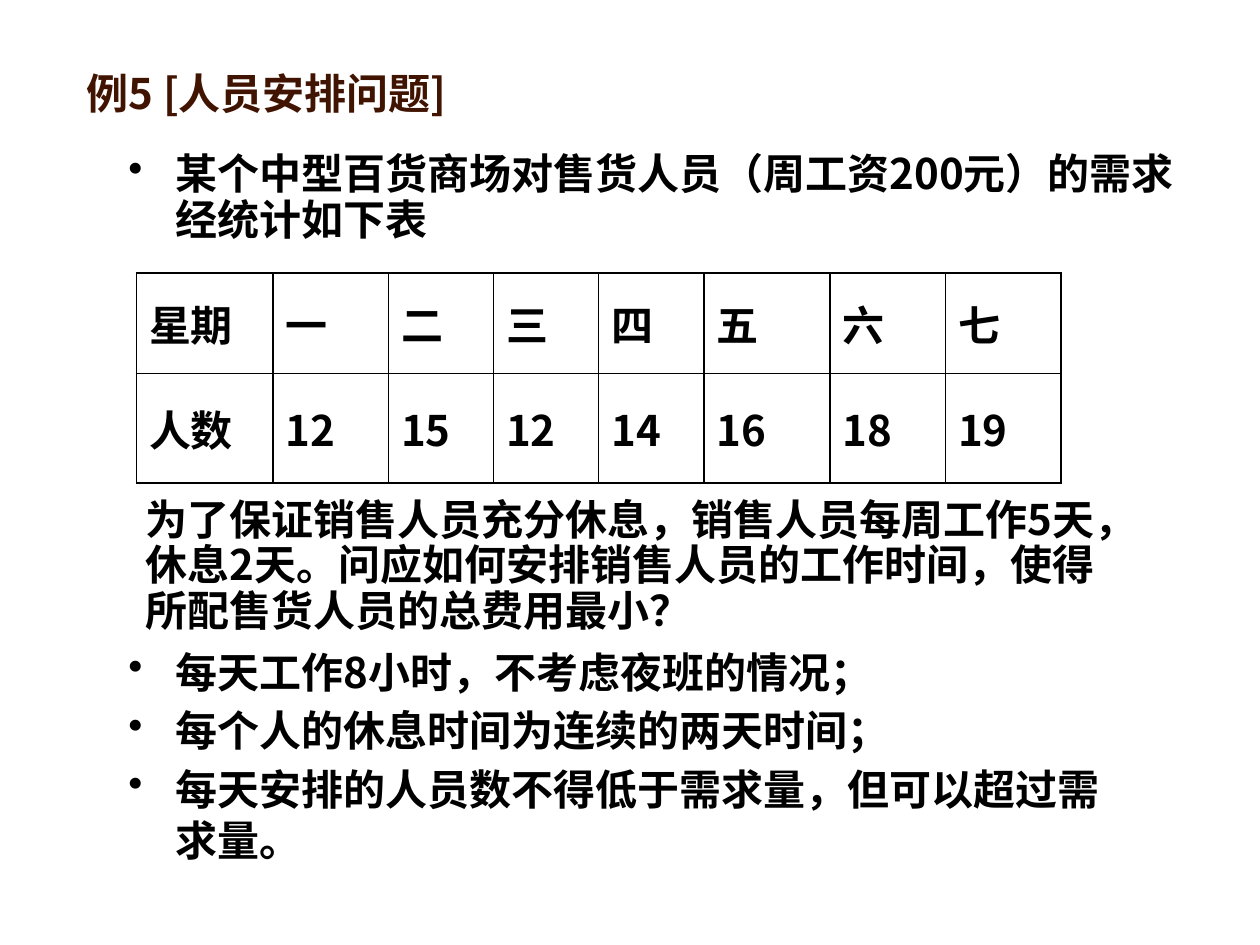
from dataclasses import dataclass

from lxml.etree import SubElement
from pptx import Presentation
from pptx.dml.color import RGBColor
from pptx.enum.text import MSO_ANCHOR, MSO_AUTO_SIZE
from pptx.oxml.ns import qn
from pptx.util import Cm, Pt

TITLE = "例5 [人员安排问题]"
INTRO = ["某个中型百货商场对售货人员（周工资200元）的需求经统计如下表"]
DEMAND = [
    ("星期", "一", "二", "三", "四", "五", "六", "七"),
    ("人数", "12", "15", "12", "14", "16", "18", "19"),
]
QUESTION = [
    "为了保证销售人员充分休息，销售人员每周工作5天，休息2天。"
    "问应如何安排销售人员的工作时间，使得所配售货人员的总费用最小？"
]
CONDITIONS = [
    "每天工作8小时，不考虑夜班的情况；",
    "每个人的休息时间为连续的两天时间；",
    "每天安排的人员数不得低于需求量，但可以超过需求量。",
]
COLUMN_WIDTHS = (2.75, 2.33, 2.12, 2.12, 2.12, 2.54, 2.33, 2.33)
ROW_HEIGHTS = (2.03, 2.21)


@dataclass(frozen=True)
class Theme:
    """Colours, font and type sizes of the slide."""

    font: str = "Noto Sans CJK SC"
    size: Pt = Pt(24)
    space: Pt = Pt(4.8)
    indent: Cm = Cm(0.95)
    border: Pt = Pt(1)
    background: RGBColor = RGBColor(0xFF, 0xFF, 0xFF)
    title: RGBColor = RGBColor(0x41, 0x14, 0x01)
    text: RGBColor = RGBColor(0, 0, 0)


THEME = Theme()


def style_paragraph(paragraph, color=THEME.text, space=THEME.space):
    """Apply the bold theme font and the gap above."""
    font = paragraph.font
    font.size, font.bold, font.name = THEME.size, True, THEME.font
    font.color.rgb = color
    paragraph.space_before = space
    properties = paragraph._p.pPr.find(qn("a:defRPr"))
    SubElement(properties, qn("a:ea")).set("typeface", THEME.font)


def add_bullet(paragraph):
    """Give a paragraph a round bullet with a hanging indent."""
    properties = paragraph._p.get_or_add_pPr()
    properties.set("marL", str(THEME.indent))
    properties.set("indent", str(-THEME.indent))
    bullet = properties.makeelement(qn("a:buChar"), {"char": "•"})
    properties.find(qn("a:defRPr")).addprevious(bullet)


def add_text(slide, place, lines, anchor=MSO_ANCHOR.TOP, bullets=False,
             line_spacing=None, color=THEME.text, space=THEME.space):
    """Add a wrapped text box with one paragraph per line."""
    shape = slide.shapes.add_textbox(*(Cm(length) for length in place))
    frame = shape.text_frame
    frame.word_wrap = True
    frame.auto_size = MSO_AUTO_SIZE.NONE
    frame.vertical_anchor = anchor
    frame.text = "\n".join(lines)
    for paragraph in frame.paragraphs:
        style_paragraph(paragraph, color, space)
        if line_spacing:
            paragraph.line_spacing = line_spacing
        if bullets:
            add_bullet(paragraph)


def add_borders(cell):
    """Draw all four borders of a table cell."""
    properties = cell._tc.get_or_add_tcPr()
    for position, side in enumerate(("lnL", "lnR", "lnT", "lnB")):
        line = properties.makeelement(qn(f"a:{side}"), {"w": str(THEME.border)})
        fill = SubElement(line, qn("a:solidFill"))
        SubElement(fill, qn("a:srgbClr")).set("val", str(THEME.text))
        properties.insert(position, line)


def add_demand_table(slide, left, top):
    """Add the table of staff needed on each weekday."""
    shape = slide.shapes.add_table(
        len(DEMAND), len(COLUMN_WIDTHS), Cm(left), Cm(top),
        Cm(sum(COLUMN_WIDTHS)), Cm(sum(ROW_HEIGHTS)))
    table = shape.table
    table.first_row = table.horz_banding = False
    for column, width in zip(table.columns, COLUMN_WIDTHS):
        column.width = Cm(width)
    for row, height, values in zip(table.rows, ROW_HEIGHTS, DEMAND):
        row.height = Cm(height)
        for cell, value in zip(row.cells, values):
            cell.text = value
            cell.vertical_anchor = MSO_ANCHOR.MIDDLE
            cell.fill.background()
            style_paragraph(cell.text_frame.paragraphs[0])
            add_borders(cell)


def main():
    """Build and save the staffing problem slide."""
    presentation = Presentation()
    presentation.slide_width, presentation.slide_height = Cm(25.4), Cm(19.05)
    slide = presentation.slides.add_slide(presentation.slide_layouts[6])
    slide.background.fill.solid()
    slide.background.fill.fore_color.rgb = THEME.background
    add_text(slide, (1.5, 0.91, 21.59, 1.91), [TITLE], MSO_ANCHOR.MIDDLE,
             color=THEME.title, space=Pt(0))
    add_text(slide, (2.34, 2.97, 21.59, 2.36), INTRO, bullets=True, line_spacing=0.9)
    add_demand_table(slide, 2.75, 5.5)
    add_text(slide, (2.34, 12.9, 20.12, 5.28), CONDITIONS, bullets=True)
    add_text(slide, (2.69, 9.93, 20.4, 3), QUESTION, MSO_ANCHOR.BOTTOM, line_spacing=0.9)
    presentation.save("out.pptx")


if __name__ == "__main__":
    main()
